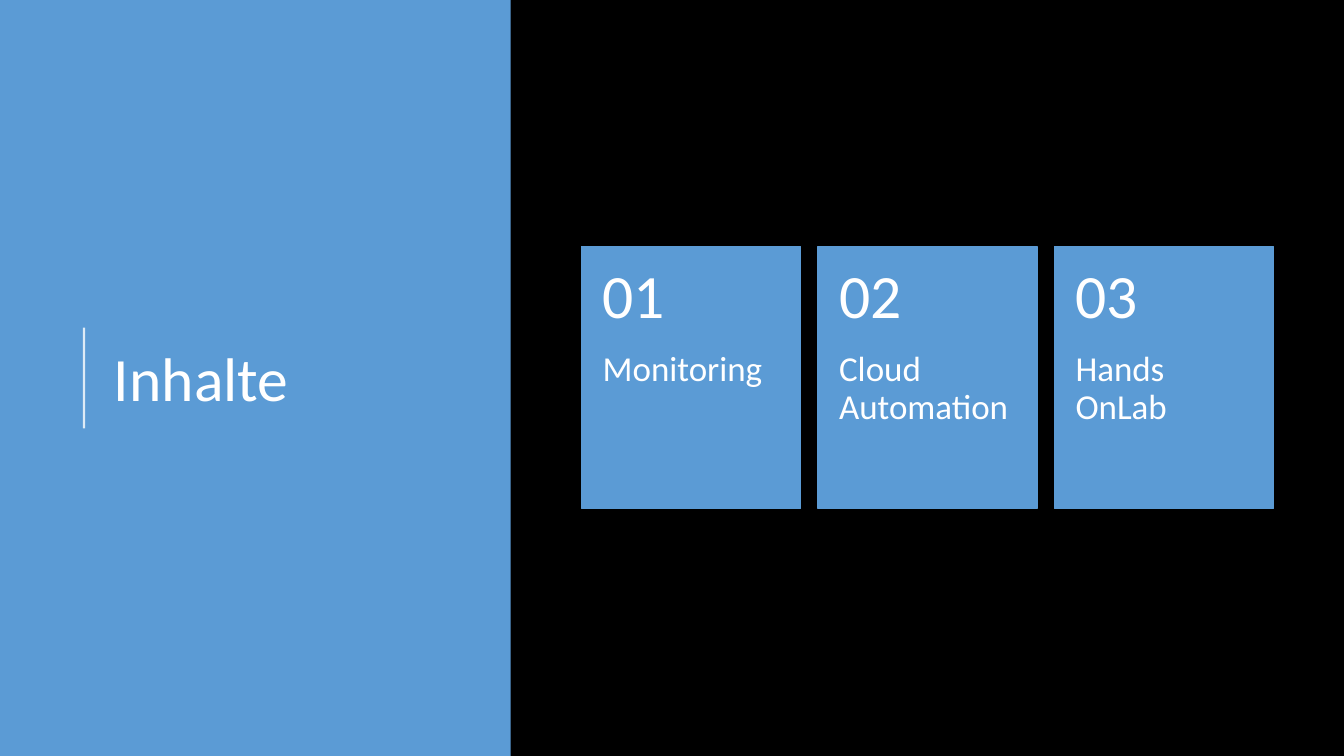
import pptx
import pptx.util
import pptx.dml.color
import pptx.enum.shapes
import pptx.enum.text
import pptx.oxml
import pptx.oxml.ns

BLUE, WHITE, BLACK = "5B9BD5", "FFFFFF", "000000"
ANCHOR = pptx.enum.text.MSO_ANCHOR


def color(code):
    return pptx.dml.color.RGBColor.from_string(code)


def apply(item, form):
    for name, value in form.items():
        setattr(item, name, value)


class Deck:
    """Style and current slide; lengths are percent of the slide's size."""

    font = "Calibri"

    def __init__(self):
        self.prs = pptx.Presentation()
        apply(self.prs, {"slide_width": pptx.util.Inches(13.33),
                         "slide_height": pptx.util.Inches(7.5)})
        self.slide = self.prs.slides.add_slide(self.prs.slide_layouts[5])
        fill = self.slide.background.fill
        fill.solid()
        fill.fore_color.rgb = color(BLACK)

    def box(self, x, y, wide, high):
        w, h = self.prs.slide_width / 100, self.prs.slide_height / 100
        return [round(v) for v in (x * w, y * h, wide * w, high * h)]

    def rect(self, home, area, edge=None):
        kind = pptx.enum.shapes.MSO_SHAPE.RECTANGLE
        shape = home.add_shape(kind, *self.box(*area))
        shape.shadow.inherit = False
        shape.fill.solid()
        shape.fill.fore_color.rgb = color(BLUE)
        if edge:
            shape.line.color.rgb = color(BLUE)
            shape.line.width = pptx.util.Pt(edge)
        else:
            shape.line.fill.background()

    def rule(self, x, top, end, width, alpha):
        a, b, _, c = self.box(x, top, 0, end)
        kind = pptx.enum.shapes.MSO_CONNECTOR.STRAIGHT
        line = self.slide.shapes.add_connector(kind, a, c, a, b)
        line.line.width = pptx.util.Pt(width)
        line.line.color.rgb = color(WHITE)
        space = pptx.oxml.ns.nsdecls("a")
        props = line._element.spPr
        tint = props.find(".//" + pptx.oxml.ns.qn("a:srgbClr"))
        tint.append(pptx.oxml.parse_xml(f'<a:alpha {space} val="{alpha * 1000}"/>'))
        props.append(pptx.oxml.parse_xml(f"<a:effectLst {space}/>"))

    def letter(self, shape, text, size, form, after=0):
        frame = shape.text_frame
        apply(frame, {"text": text, "word_wrap": True,
                      "auto_size": pptx.enum.text.MSO_AUTO_SIZE.NONE, **form})
        para = frame.paragraphs[0]
        apply(para, {"alignment": pptx.enum.text.PP_ALIGN.LEFT,
                     "line_spacing": 0.9, "space_after": pptx.util.Pt(after)})
        font = para.runs[0].font
        apply(font, {"name": self.font, "size": pptx.util.Pt(size)})
        font.color.rgb = color(WHITE)

    def title(self, area, text, size):
        shape = self.slide.shapes.title
        names = ("left", "top", "width", "height")
        apply(shape, dict(zip(names, self.box(*area))))
        self.letter(shape, text, size, {"vertical_anchor": ANCHOR.MIDDLE})
        # Bring the title in front of the panel
        self.slide.shapes._spTree.append(shape._element)

    def label(self, home, area, text, size, anchor, top, foot):
        inch = pptx.util.Inches
        form = {"margin_left": inch(0.21), "margin_right": inch(0.21),
                "margin_top": inch(top), "margin_bottom": inch(foot),
                "vertical_anchor": anchor}
        self.letter(home.add_textbox(*self.box(*area)), text, size, form,
                    after=size * 0.35)

    def card(self, area, number, topic):
        x, y, wide, high = area
        head = high * 0.4
        home = self.slide.shapes.add_group_shape().shapes
        self.rect(home, area, edge=1)
        self.label(home, (x, y + head, wide, high - head), topic, 25,
                   ANCHOR.TOP, 0, 0.36)
        self.label(home, (x, y, wide, head), number, 44,
                   ANCHOR.MIDDLE, 0.18, 0.18)


deck = Deck()

# Left panel with rule and title
deck.rect(deck.slide.shapes, (0, 0, 38, 100))
deck.rule(6.25, 43.33, 56.67, width=1.5, alpha=80)
deck.title((7.73, 10.4, 27.7, 80.2), "Inhalte", 44)

# Row of numbered topic cards
LEFT, STEP = 43.27, 17.59
for i, topic in enumerate(("Monitoring", "Cloud Automation", "Hands OnLab")):
    deck.card((LEFT + i * STEP, 32.6, 16.3, 34.7), f"{i + 1:02d}", topic)

deck.prs.save("out.pptx")
